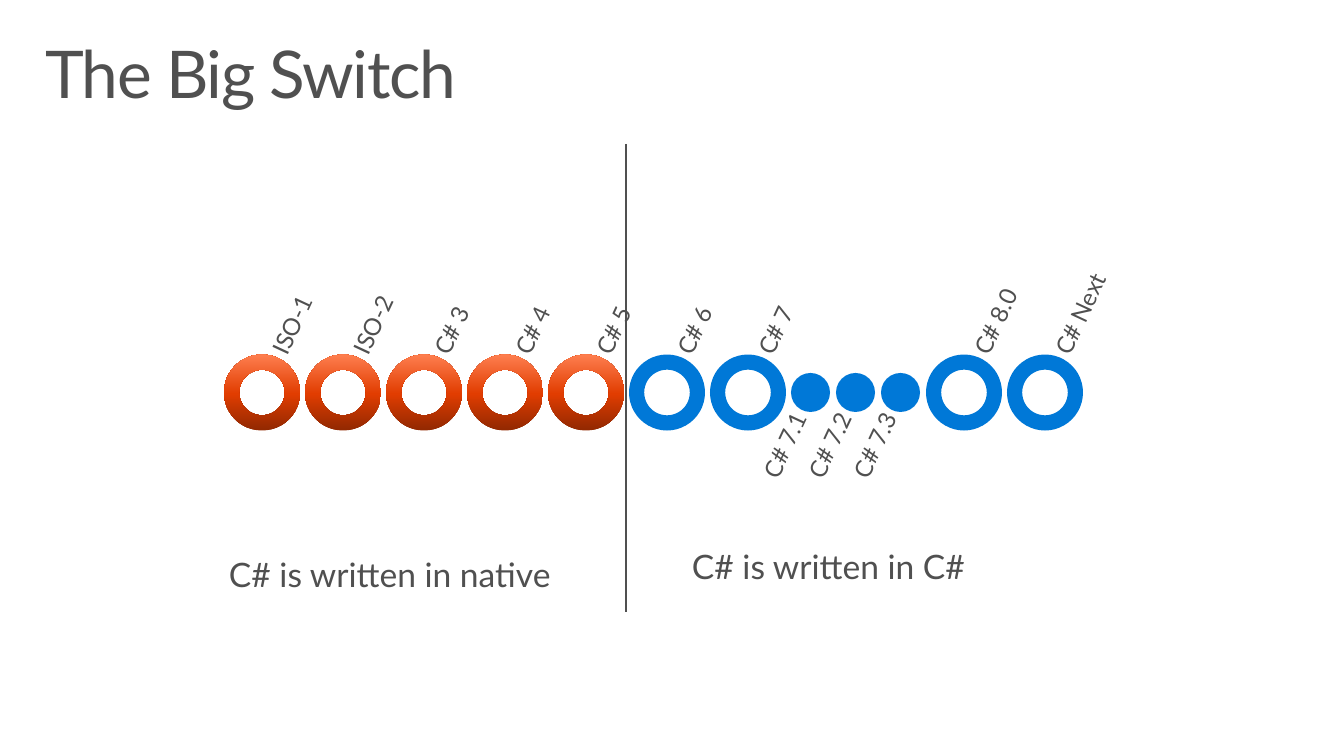
from copy import deepcopy
from dataclasses import dataclass

from pptx import Presentation
from pptx.dml.color import RGBColor
from pptx.enum.shapes import MSO_CONNECTOR, MSO_SHAPE
from pptx.enum.text import MSO_ANCHOR, MSO_AUTO_SIZE, PP_ALIGN
from pptx.oxml.ns import qn
from pptx.util import Pt

DONUT, CIRCLE = MSO_SHAPE.DONUT, MSO_SHAPE.OVAL
STRAIGHT = MSO_CONNECTOR.STRAIGHT
TOP, MIDDLE = MSO_ANCHOR.TOP, MSO_ANCHOR.MIDDLE
LEFT, RIGHT = PP_ALIGN.LEFT, PP_ALIGN.RIGHT
NO_FIT, GROW = MSO_AUTO_SIZE.NONE, MSO_AUTO_SIZE.SHAPE_TO_FIT_TEXT

TITLE = "The Big Switch"
VERSIONS = [
    ("ISO-1", "native"), ("ISO-2", "native"), ("C# 3", "native"),
    ("C# 4", "native"), ("C# 5", "native"),
    ("C# 6", "managed"), ("C# 7", "managed"),
    ("C# 7.1", "point"), ("C# 7.2", "point"), ("C# 7.3", "point"),
    ("C# 8.0", "managed"), ("C# Next", "managed"),
]
CAPTIONS = [
    ("C# is written in native", (209, 542, 364, 70)),
    ("C# is written in C#", (672, 534, 315, 70)),
]


@dataclass(frozen=True)
class Theme:
    font: str = "Lato"
    text: RGBColor = RGBColor(0x50, 0x50, 0x50)
    blue: RGBColor = RGBColor(0x00, 0x78, 0xD7)
    orange: tuple = ((0, "912801"), (0.48, "E13D01"), (1, "FE7F50"))
    title_size: int = 47
    caption_size: int = 24
    label_size: int = 17


THEME = Theme()
EMU_PER_PX = 914400 / 100.8
TIMELINE_LEFT, TIMELINE_MIDDLE = 224, 392.5
MAJOR_SIZE, MAJOR_STEP = 76, 81
POINT_SIZE, POINT_STEP = 39, 45
LABEL_ANGLE = 295


def px(*lengths):
    return [round(length * EMU_PER_PX) for length in lengths]


def write(shape, text, size, insets, anchor=TOP, align=LEFT, fit=NO_FIT, wrap=True):
    frame = shape.text_frame
    frame.word_wrap, frame.auto_size, frame.vertical_anchor = wrap, fit, anchor
    (frame.margin_left, frame.margin_top,
     frame.margin_right, frame.margin_bottom) = px(*insets)
    paragraph = frame.paragraphs[0]
    paragraph.alignment, paragraph.line_spacing = align, 0.9
    run = paragraph.add_run()
    run.text = text
    run.font.name, run.font.size = THEME.font, Pt(size)
    run.font.color.rgb = THEME.text
    return paragraph


def fill_gradient(shape, stops):
    shape.fill.gradient()
    shape.fill.gradient_angle = 90
    stop_list = shape._element.spPr.find(qn("a:gradFill")).find(qn("a:gsLst"))
    stop_list.append(deepcopy(stop_list[0]))
    for stop, (position, color) in zip(shape.fill.gradient_stops, stops):
        stop.position = position
        stop.color.rgb = RGBColor.from_string(color)


def add_marker(slide, left, size, kind):
    marker = slide.shapes.add_shape(
        CIRCLE if kind == "point" else DONUT,
        *px(left, TIMELINE_MIDDLE - size / 2, size, size))
    marker.shadow.inherit = False
    marker.line.fill.background()
    if kind != "point":
        marker.adjustments[0] = 0.2
    if kind == "native":
        fill_gradient(marker, THEME.orange)
    else:
        marker.fill.solid()
        marker.fill.fore_color.rgb = THEME.blue


def add_label(slide, left, text, is_point):
    box = (left - 46, 427, 81, 39) if is_point else (left + 27, 293, 94, 45)
    label = slide.shapes.add_textbox(*px(*box))
    label.rotation = LABEL_ANGLE
    paragraph = write(label, text, THEME.label_size,
                      (0, 0, 5, 0) if is_point else (5, 0, 0, 0),
                      MIDDLE, RIGHT if is_point else LEFT)
    paragraph.space_after = Pt(6)


def add_timeline(slide):
    left = TIMELINE_LEFT
    for text, kind in VERSIONS:
        is_point = kind == "point"
        add_marker(slide, left, POINT_SIZE if is_point else MAJOR_SIZE, kind)
        add_label(slide, left, text, is_point)
        left += POINT_STEP if is_point else MAJOR_STEP


def add_divider(slide):
    divider = slide.shapes.add_connector(STRAIGHT, *px(626, 144, 626, 612))
    divider.line.color.rgb = THEME.text
    divider.line.width = Pt(0.75)
    properties = divider._element.spPr
    properties.append(properties.makeelement(qn("a:effectLst"), {}))


def main():
    presentation = Presentation()
    presentation.slide_width, presentation.slide_height = px(1344, 756)
    slide = presentation.slides.add_slide(presentation.slide_layouts[5])
    title = slide.shapes.title
    title.left, title.top, title.width, title.height = px(29, 32, 1285, 99)
    heading = write(title, TITLE, THEME.title_size, (16, 10, 16, 10))
    heading.runs[0].font._element.set("spc", "-100")
    add_timeline(slide)
    add_divider(slide)
    for text, box in CAPTIONS:
        caption = slide.shapes.add_textbox(*px(*box))
        paragraph = write(caption, text, THEME.caption_size, (20, 16, 20, 16),
                          fit=GROW, wrap=False)
        paragraph.space_after = Pt(6)
    presentation.save("out.pptx")


if __name__ == "__main__":
    main()
